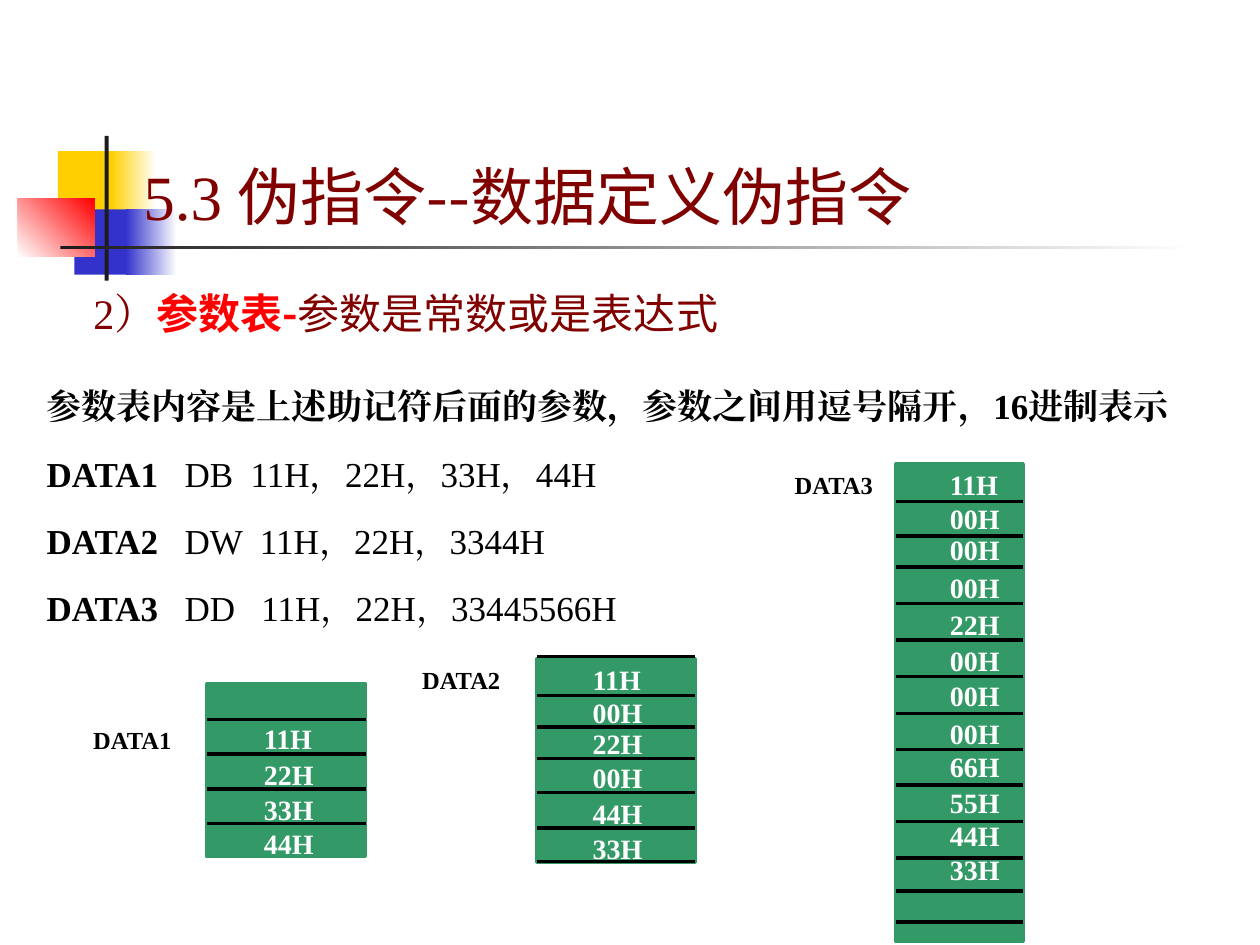
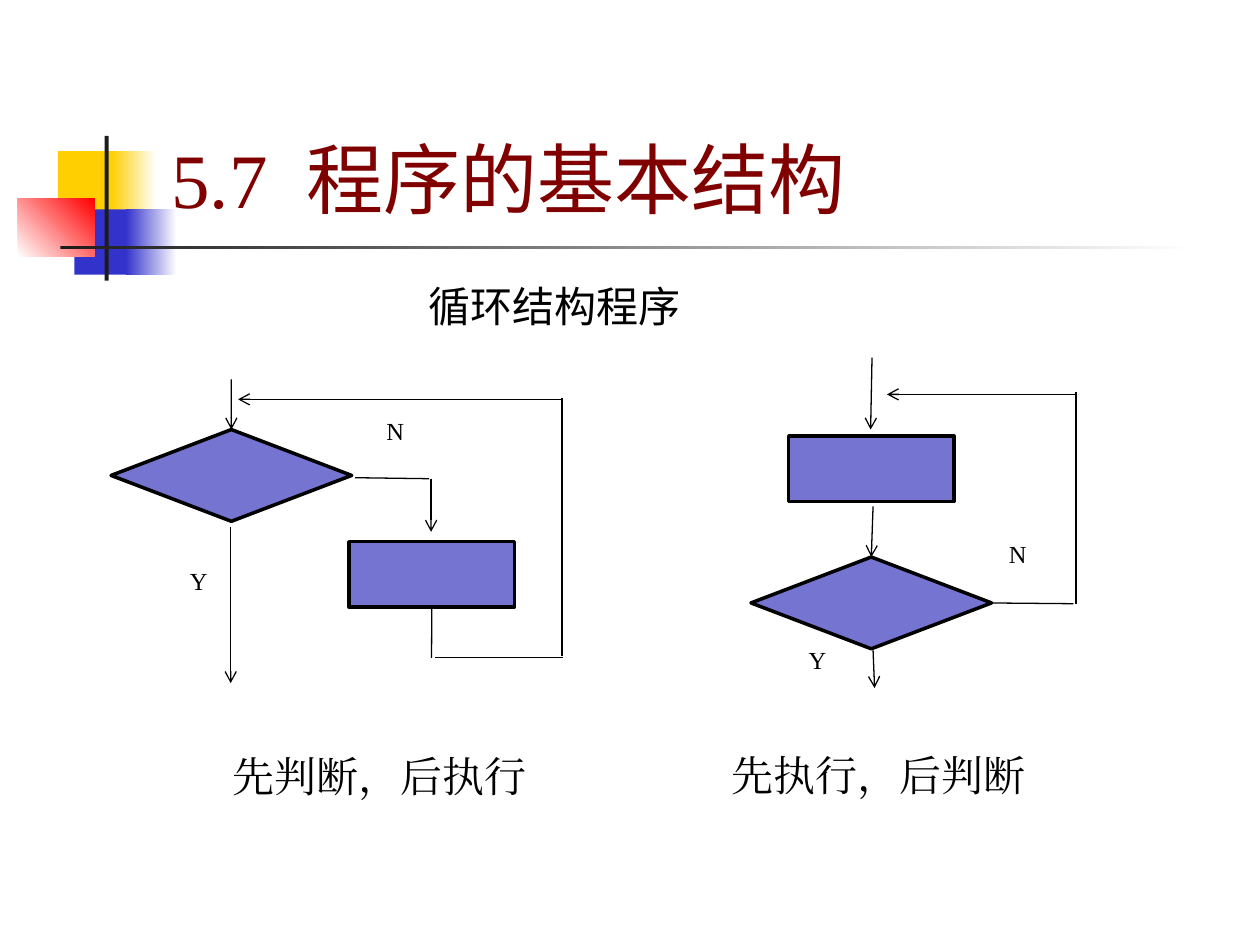
import dataclasses

import lxml.etree
import pptx
import pptx.dml.color
import pptx.enum.shapes
import pptx.enum.text
import pptx.oxml.ns
import pptx.util

Cm = pptx.util.Cm
Pt = pptx.util.Pt
Kind = pptx.enum.shapes.MSO_SHAPE
Align = pptx.enum.text.PP_ALIGN
Anchor = pptx.enum.text.MSO_ANCHOR
qn = pptx.oxml.ns.qn


@dataclasses.dataclass(frozen=True)
class Theme:
    serif: str = "Times New Roman"
    sans: str = "Noto Sans CJK SC"
    round: str = "Roboto"
    black: str = "000000"
    white: str = "FFFFFF"
    maroon: str = "800000"
    red: str = "FF0000"
    gold: str = "FFCF01"
    blue: str = "3333CC"
    dark: str = "1C1C1C"
    green: str = "339966"
    violet: str = "7575D1"
    huge: int = 44
    big: int = 36
    head: int = 24
    body: int = 20
    word: int = 16
    small: int = 14
    thick: float = 2
    thin: float = 0.75


T = Theme()


def rgb(code):
    return pptx.dml.color.RGBColor.from_string(code)


def add_run(para, text, size, color=T.black, face=T.serif, bold=False):
    run = para.add_run()
    run.text = text
    font = run.font
    font.size, font.bold = Pt(size), bold
    font.color.rgb = rgb(color)
    font.name = face
    east = lxml.etree.SubElement(run._r.get_or_add_rPr(), qn("a:ea"))
    east.set("typeface", face)


def add_box(slide, place, wrap=True):
    box = slide.shapes.add_textbox(*map(Cm, place))
    box.text_frame.word_wrap = wrap
    return box.text_frame


def add_label(slide, place, text, size, wrap=True, **style):
    para = add_box(slide, place, wrap).paragraphs[0]
    add_run(para, text, size, **style)
    return para


def add_block(slide, place, fill, edge=None, kind=Kind.RECTANGLE):
    block = slide.shapes.add_shape(kind, *map(Cm, place))
    block.shadow.inherit = False
    block.fill.solid()
    block.fill.fore_color.rgb = rgb(fill)
    if edge:
        block.line.color.rgb = rgb(edge)
        block.line.width = Pt(T.thick)
    else:
        block.line.fill.background()
    return block


def add_fade(slide, place, first, last, angle=0):
    block = add_block(slide, place, first)
    block.fill.gradient()
    block.fill.gradient_angle = angle
    for stop, color in zip(block.fill.gradient_stops, (first, last)):
        stop.color.rgb = rgb(color)
    return block


def add_line(slide, ends, width, arrow=False, start=None, stop=None):
    """Draw a line; start and stop are (shape, side) pairs to join."""
    x1, y1, x2, y2 = map(Cm, ends)
    line = slide.shapes.add_connector(
        pptx.enum.shapes.MSO_CONNECTOR.STRAIGHT, x1, y1, x2, y2)
    line.line.color.rgb = rgb(T.black)
    line.line.width = Pt(width)
    if arrow:
        tail = lxml.etree.SubElement(line.line._get_or_add_ln(), qn("a:tailEnd"))
        tail.set("type", "arrow")
    lxml.etree.SubElement(line.element.spPr, qn("a:effectLst"))
    if start:
        line.begin_connect(*start)
    if stop:
        line.end_connect(*stop)


def dress(layout, slide):
    """Draw the shared corner mark and rule, then move them to the layout."""
    parts = [
        add_block(slide, (1.17, 3.05, 1.22, 1.32), T.gold),
        add_fade(slide, (2.24, 3.05, 0.91, 1.32), T.gold, T.white),
        add_block(slide, (1.5, 4.22, 1.17, 1.32), T.blue),
        add_fade(slide, (2.54, 4.22, 1.02, 1.32), T.blue, T.white),
        add_fade(slide, (0.36, 4.01, 1.55, 1.17), T.white, T.red, 45),
        add_block(slide, (2.11, 2.74, 0.08, 2.92), T.dark),
        add_fade(slide, (1.22, 4.95, 22.86, 0.08), T.dark, T.white),
    ]
    for part in parts:
        layout.shapes.element.append(part.element)


def set_title(slide, place):
    title = slide.shapes.title
    title.left, title.top, title.width, title.height = map(Cm, place)
    frame = title.text_frame
    frame.vertical_anchor = Anchor.BOTTOM
    frame.auto_size = pptx.enum.text.MSO_AUTO_SIZE.NONE
    para = frame.paragraphs[0]
    para.alignment = Align.LEFT
    return para


def add_code(slide, place, note, rows):
    frame = add_box(slide, place)
    paras = [frame.paragraphs[0]] + [frame.add_paragraph() for _ in rows]
    for para in paras:
        para.line_spacing = 1.35
        para.space_after = Pt(1)
    add_run(paras[0], note, T.body, bold=True)
    for para, (name, code) in zip(paras[1:], rows):
        para.space_before = Pt(5)
        add_run(para, name, T.body, bold=True)
        add_run(para, code, T.body)


def add_stack(slide, name, spot, place, rules, inset, words):
    """Draw a memory column: its name, block, cell rules and byte values."""
    left, _, width, _ = place
    add_block(slide, place, T.green, T.green)
    for y in rules:
        add_line(slide, (left, y, left + width, y), T.thick)
    add_label(slide, (*spot, 2.5, 0.84), name, T.small, bold=True)
    for word, y in words:
        add_label(slide, (left + inset, y, 1.78, 0.94), word, T.word,
                  color=T.white, bold=True)


def add_step(slide, left, top):
    return add_block(slide, (left, top, 3.33, 1.32), T.violet, T.black,
                     Kind.FLOWCHART_PROCESS)


def add_test(slide, left, top):
    return add_block(slide, (left, top, 4.85, 1.85), T.violet, T.black,
                     Kind.FLOWCHART_DECISION)


def add_flow(slide, links, marks):
    for ends, more in links:
        add_line(slide, ends, T.thin, **more)
    for text, x, y in marks:
        para = add_label(slide, (x, y, 0.86, 1.32), text, T.small)
        para.alignment = Align.JUSTIFY


def fill_data(slide):
    para = set_title(slide, (1.63, 5.44, 23.37, 1.5))
    add_run(para, "2）", T.head, T.maroon)
    add_run(para, "参数表-", T.head, T.red, T.sans, True)
    add_run(para, "参数是常数或是表达式", T.head, T.maroon, T.sans)

    add_code(slide, (0.69, 7.34, 24.59, 7.24),
             "参数表内容是上述助记符后面的参数，参数之间用逗号隔开，16进制表示",
             [("DATA1", "   DB  11H，22H，33H，44H"),
              ("DATA2", "   DW  11H，22H，3344H"),
              ("DATA3", "   DD   11H，22H，33445566H")])

    frame = add_box(slide, (2.64, 2.44, 20.24, 2.39))
    frame.vertical_anchor = Anchor.BOTTOM
    add_run(frame.paragraphs[0], "5.3 ", T.big, T.maroon)
    add_run(frame.paragraphs[0], "伪指令--数据定义伪指令", T.big, T.maroon, T.sans)

    add_stack(slide, "DATA1", (1.63, 14.5), (4.17, 13.79, 3.2, 3.48),
              [14.5 + 0.7 * i for i in range(4)], 0.9,
              [("11H", 14.43), ("22H", 15.14), ("33H", 15.85), ("44H", 16.54)])
    add_stack(slide, "DATA2", (8.26, 13.28), (10.82, 13.28, 3.2, 4.11),
              [13.23, 14.02, 14.66, 15.29, 15.98, 16.69, 17.37], 0.88,
              [("11H", 13.23), ("00H", 13.89), ("22H", 14.53),
               ("00H", 15.21), ("44H", 15.93), ("33H", 16.64)])
    add_stack(slide, "DATA3", (15.77, 9.35), (18.06, 9.35, 2.57, 9.63),
              [10.11, 10.8, 11.43, 12.17, 12.9, 13.64, 14.38,
               15.11, 15.82, 16.56, 17.3, 17.96, 18.59], 0.84,
              [("11H", 9.3), ("00H", 9.98), ("00H", 10.62), ("00H", 11.38),
               ("22H", 12.12), ("00H", 12.85), ("00H", 13.56), ("00H", 14.33),
               ("66H", 14.99), ("55H", 15.72), ("44H", 16.38), ("33H", 17.07)])


def fill_loops(slide):
    para = set_title(slide, (3.2, 0.58, 21.64, 4.06))
    add_run(para, "5.7  ", T.huge, T.maroon)
    add_run(para, "程序的基本结构", T.huge, T.maroon, T.round)
    add_label(slide, (8.38, 5.54, 5.64, 1.27), "循环结构程序", T.head,
              wrap=False, face=T.sans)

    arrow = {"arrow": True}
    test, step = add_test(slide, 2.24, 8.66), add_step(slide, 7.04, 10.92)
    add_flow(slide, [
        ((4.66, 7.65, 4.66, 8.66), {"arrow": True, "stop": (test, 0)}),
        ((4.65, 10.62, 4.65, 13.77), arrow),
        ((7.16, 9.63, 8.65, 9.65), {}),
        ((8.69, 9.65, 8.69, 10.72), arrow),
        ((8.7, 12.24, 8.7, 13.26), {"start": (step, 2)}),
        ((8.76, 13.26, 11.35, 13.26), {}),
        ((11.33, 8.03, 11.33, 13.23), {}),
        ((11.33, 8.05, 4.8, 8.05), arrow),
    ], [("N", 7.54, 8.26), ("Y", 3.58, 11.28)])

    test = add_test(slide, 15.14, 11.23)
    add_step(slide, 15.9, 8.79)
    add_flow(slide, [
        ((17.58, 7.21, 17.55, 8.66), arrow),
        ((17.6, 10.21, 17.57, 11.23), {"arrow": True, "stop": (test, 0)}),
        ((17.6, 13.11, 17.63, 13.87), arrow),
        ((21.69, 7.9, 21.69, 12.17), {}),
        ((21.72, 7.95, 17.88, 7.95), arrow),
        ((19.99, 12.15, 21.64, 12.17), {"start": (test, 3)}),
    ], [("Y", 16.05, 12.88), ("N", 20.09, 10.74)])

    for text, x, y in (("先判断，后执行", 4.44, 15.01),
                       ("先执行，后判断", 14.5, 14.99)):
        add_label(slide, (x, y, 6.53, 1.27), text, T.head, wrap=False)


def main():
    deck = pptx.Presentation()
    deck.slide_width, deck.slide_height = Cm(25.4), Cm(19.05)
    layout = deck.slide_layouts[5]
    data = deck.slides.add_slide(layout)
    dress(layout, data)
    fill_data(data)
    fill_loops(deck.slides.add_slide(layout))
    deck.save("out.pptx")


if __name__ == "__main__":
    main()
